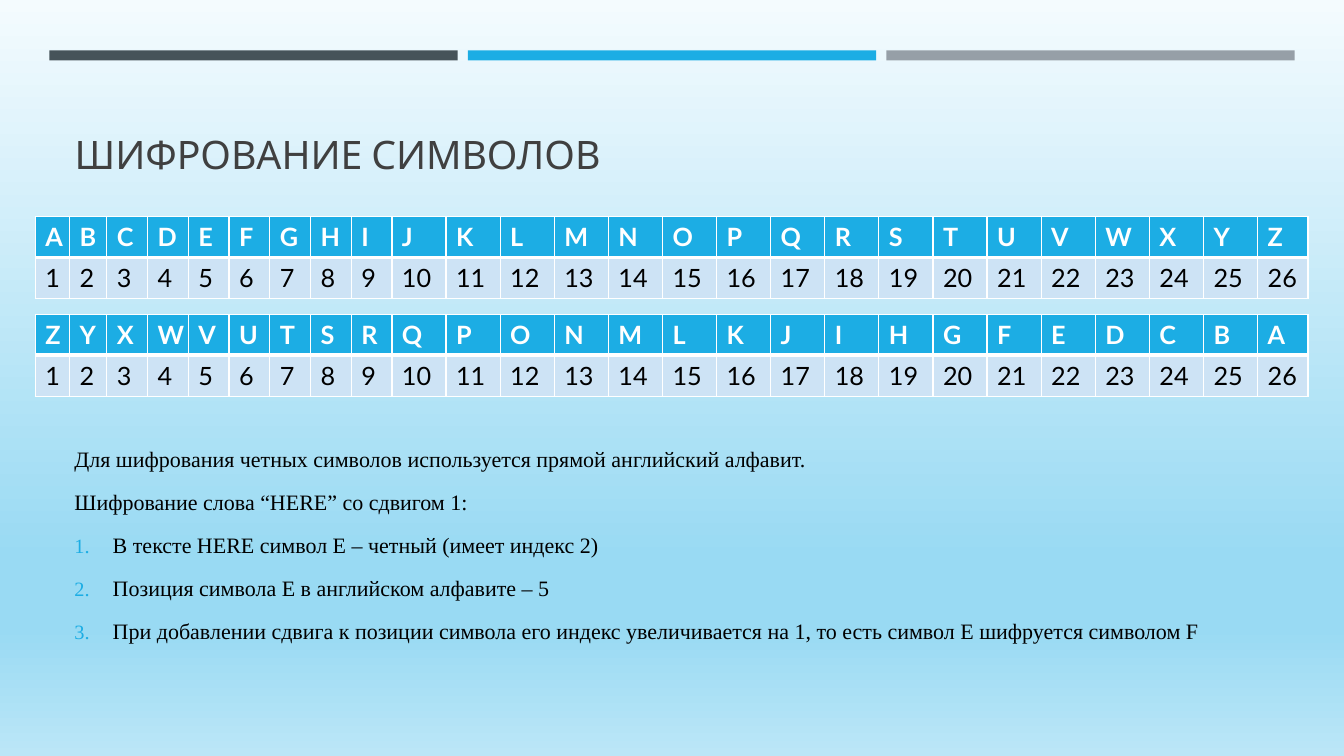
from lxml import etree
from pptx import Presentation
from pptx.dml.color import RGBColor
from pptx.enum import shapes, text
from pptx.oxml.ns import qn
from pptx.util import Inches, Pt

DARK = RGBColor(0x46, 0x53, 0x59)
BLUE = RGBColor(0x1C, 0xAD, 0xE4)
GRAY = RGBColor(0x96, 0x9F, 0xA7)
TITLE_GRAY = RGBColor(0x40, 0x40, 0x40)
PALE_BLUE = RGBColor(0xCD, 0xE3, 0xF5)
WHITE = RGBColor(0xFF, 0xFF, 0xFF)
BLACK = RGBColor(0, 0, 0)
SKY_STOPS = [
    (0, RGBColor(0xF4, 0xFB, 0xFE)),
    (74, RGBColor(0x99, 0xDA, 0xF3)),
    (83, RGBColor(0x99, 0xDA, 0xF3)),
    (100, RGBColor(0xBB, 0xE6, 0xF7)),
]

ALPHABET = "ABCDEFGHIJKLMNOPQRSTUVWXYZ"
# Two narrow columns, seven one-digit ones, then the two-digit ones
COLUMN_WIDTHS = [0.34, 0.37] + [2.83 / 7] * 7 + [8.59 / 16] * 16 + [0.5]
ROW_HEIGHT = 0.405

INTRO = [
    "Для шифрования четных символов используется прямой английский алфавит.",
    "Шифрование слова “HERE” со сдвигом 1:",
]
STEPS = [
    "В тексте HERE символ E – четный (имеет индекс 2)",
    "Позиция символа E в английском алфавите – 5",
    "При добавлении сдвига к позиции символа его индекс увеличивается на 1, "
    "то есть символ E шифруется символом F",
]


def format_font(para, name, size, color, bold=False):
    for span in para.runs:
        span.font.name = name
        span.font.size = Pt(size)
        span.font.color.rgb = color
        span.font.bold = bold


def add_color(parent, color):
    etree.SubElement(parent, qn("a:srgbClr"), val=str(color))


def paint_background(page):
    fill = page.background.fill
    fill.gradient()
    fill.gradient_angle = 270
    stops = page.element.find(".//" + qn("a:gsLst"))
    for stop in list(stops):
        stops.remove(stop)
    for percent, color in SKY_STOPS:
        add_color(etree.SubElement(stops, qn("a:gs"), pos=str(percent * 1000)), color)


def add_bar(page, left, color):
    bar = page.shapes.add_shape(shapes.MSO_SHAPE.RECTANGLE, Inches(left),
                                Inches(0.5), Inches(4.05), Inches(0.1))
    bar.shadow.inherit = False
    bar.fill.solid()
    bar.fill.fore_color.rgb = color
    bar.line.fill.background()


def set_title(page, words):
    title = page.shapes.title
    title.left, title.top = Inches(0.64), Inches(0.83)
    title.width, title.height = Inches(12.06), Inches(0.98)
    title.text_frame.text = words
    title.text_frame.vertical_anchor = text.MSO_ANCHOR.BOTTOM
    para = title.text_frame.paragraphs[0]
    para.alignment = text.PP_ALIGN.LEFT
    format_font(para, "Cabin", 28, TITLE_GRAY)


def set_borders(cell, top, bottom):
    properties = cell._tc.get_or_add_tcPr()
    widths = {"a:lnL": 1, "a:lnR": 1, "a:lnT": top, "a:lnB": bottom}
    for place, (side, width) in enumerate(widths.items()):
        line = etree.Element(qn(side), w=str(Pt(width)))
        add_color(etree.SubElement(line, qn("a:solidFill")), WHITE)
        properties.insert(place, line)


def fill_cell(cell, words, fill, color, bold, top, bottom):
    cell.text_frame.text = words
    format_font(cell.text_frame.paragraphs[0], "Lato", 18, color, bold)
    cell.fill.solid()
    cell.fill.fore_color.rgb = fill
    set_borders(cell, top, bottom)


def add_alphabet_table(page, top, letters):
    table = page.shapes.add_table(
        2, len(letters), Inches(0.35), Inches(top),
        Inches(sum(COLUMN_WIDTHS)), Inches(2 * ROW_HEIGHT)).table
    table.horz_banding = False
    for row in table.rows:
        row.height = Inches(ROW_HEIGHT)
    for index, (letter, width) in enumerate(zip(letters, COLUMN_WIDTHS)):
        table.columns[index].width = Inches(width)
        fill_cell(table.cell(0, index), letter, BLUE, WHITE, True, 1, 3)
        fill_cell(table.cell(1, index), str(index + 1), PALE_BLUE, BLACK, False, 3, 1)


def number_paragraph(para):
    properties = para._p.get_or_add_pPr()
    properties.set("marL", str(Inches(0.38)))
    properties.set("indent", str(-Inches(0.38)))
    add_color(etree.SubElement(properties, qn("a:buClr")), BLUE)
    etree.SubElement(properties, qn("a:buSzPct"), val="92000")
    etree.SubElement(properties, qn("a:buFont"), typeface="Times New Roman")
    etree.SubElement(properties, qn("a:buAutoNum"), type="arabicPeriod")


def add_explanation(page):
    box = page.shapes.add_textbox(Inches(0.64), Inches(4.27),
                                  Inches(12.06), Inches(2.24))
    frame = box.text_frame
    frame.word_wrap = True
    frame.vertical_anchor = text.MSO_ANCHOR.MIDDLE
    frame.text = "\n".join(INTRO + STEPS)
    for para in frame.paragraphs:
        para.line_spacing = 1.1
        para.space_before = Pt(4)
        para.space_after = Pt(6)
        format_font(para, "Times New Roman", 15.7, BLACK)
    for para in frame.paragraphs[len(INTRO):]:
        number_paragraph(para)


def main():
    deck = Presentation()
    deck.slide_width, deck.slide_height = Inches(13.33), Inches(7.5)
    page = deck.slides.add_slide(deck.slide_layouts[5])

    # Background and top bars
    paint_background(page)
    for index, color in enumerate([DARK, BLUE, GRAY]):
        add_bar(page, 0.49 + 4.15 * index, color)

    # Title and explanation
    set_title(page, "ШИФРОВАНИЕ СИМВОЛОВ")
    add_explanation(page)

    # Reversed and direct alphabets
    add_alphabet_table(page, 3.12, ALPHABET[::-1])
    add_alphabet_table(page, 2.15, ALPHABET)

    deck.save("out.pptx")


if __name__ == "__main__":
    main()
